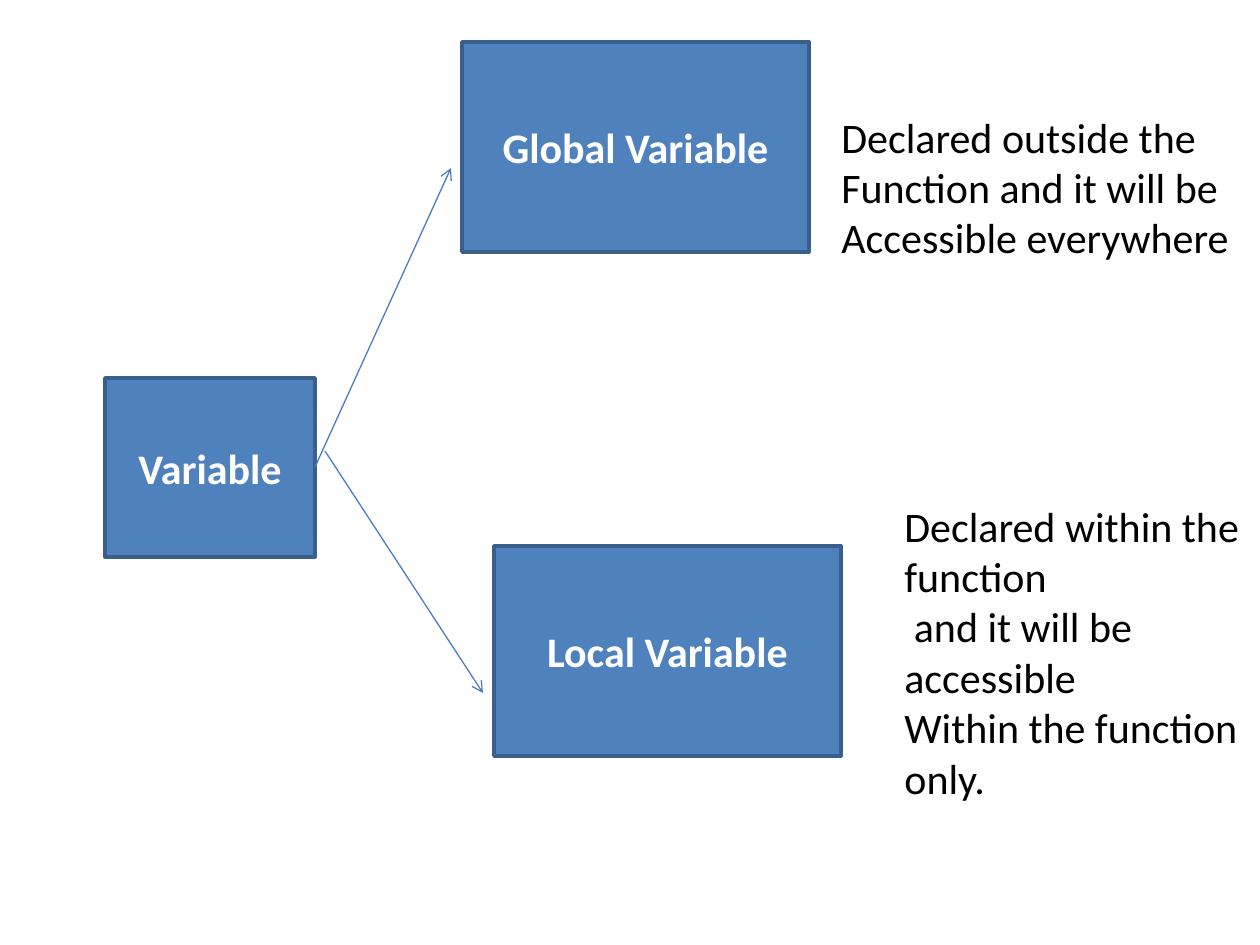
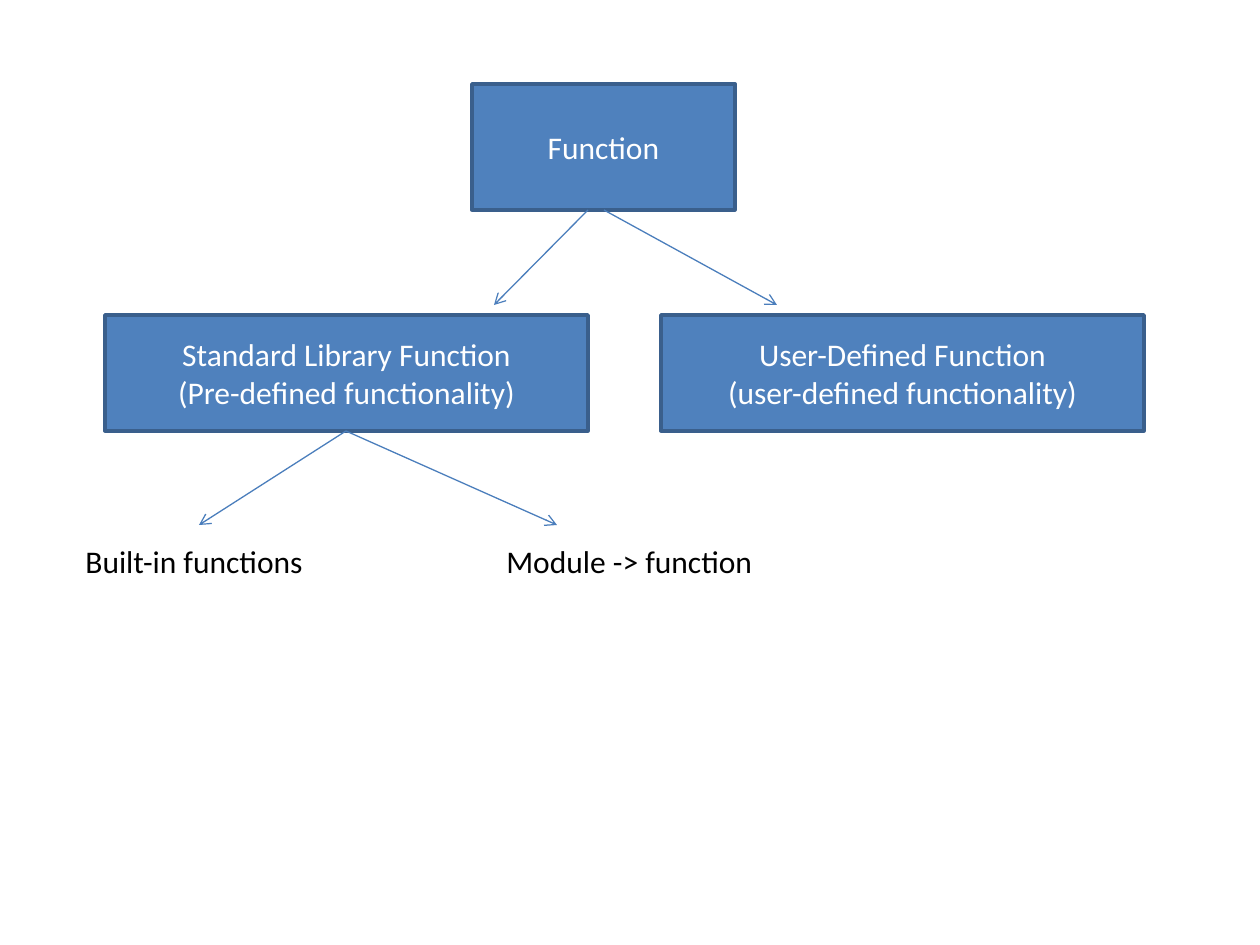
from functools import partial

from lxml.etree import SubElement
from pptx import Presentation
from pptx.dml.color import RGBColor
from pptx.enum.shapes import MSO_CONNECTOR, MSO_SHAPE
from pptx.enum.text import MSO_ANCHOR, MSO_AUTO_SIZE, PP_ALIGN
from pptx.oxml.ns import qn
from pptx.util import Emu, Pt

PIXELS_PER_INCH = 126
FONT = "Calibri"
BOX_FILL = "4F81BD"
BOX_BORDER = "3A5F8C"
ARROW_COLOR = "4B7EBC"
BOX_TEXT = "FFFFFF"
NOTE_TEXT = "000000"


def px(length):
    return Emu(round(length * 914400 / PIXELS_PER_INCH))


def color(hex_value):
    return RGBColor.from_string(hex_value)


def write_text(text_frame, text, size, hex_value, alignment, bold=False):
    text_frame.text = text
    for paragraph in text_frame.paragraphs:
        paragraph.alignment = alignment
        for run in paragraph.runs:
            run.font.name = FONT
            run.font.size = Pt(size)
            run.font.bold = bold
            run.font.color.rgb = color(hex_value)


def add_box(slide, origin, place, text, size, bold=False):
    left, top, width, height = place
    shape = slide.shapes.add_shape(
        MSO_SHAPE.RECTANGLE,
        px(origin[0] + left), px(origin[1] + top), px(width), px(height),
    )
    shape.shadow.inherit = False
    shape.fill.solid()
    shape.fill.fore_color.rgb = color(BOX_FILL)
    shape.line.color.rgb = color(BOX_BORDER)
    shape.line.width = Pt(2)
    shape.text_frame.word_wrap = True
    shape.text_frame.vertical_anchor = MSO_ANCHOR.MIDDLE
    write_text(shape.text_frame, text, size, BOX_TEXT, PP_ALIGN.CENTER, bold)


def add_note(slide, origin, place, text, size, wrap=False):
    left, top, width, height = place
    text_box = slide.shapes.add_textbox(
        px(origin[0] + left), px(origin[1] + top), px(width), px(height)
    )
    text_box.text_frame.word_wrap = wrap
    text_box.text_frame.auto_size = MSO_AUTO_SIZE.SHAPE_TO_FIT_TEXT
    write_text(text_box.text_frame, text, size, NOTE_TEXT, PP_ALIGN.LEFT)


def add_arrow(slide, origin, start, end):
    connector = slide.shapes.add_connector(
        MSO_CONNECTOR.STRAIGHT,
        px(origin[0] + start[0]), px(origin[1] + start[1]),
        px(origin[0] + end[0]), px(origin[1] + end[1]),
    )
    connector.line.color.rgb = color(ARROW_COLOR)
    connector.line.width = Pt(0.75)
    SubElement(connector.line._get_or_add_ln(), qn("a:tailEnd"), type="arrow")
    SubElement(connector._element.spPr, qn("a:effectLst"))


def variable_diagram(slide, left, top):
    origin = (left, top)
    box = partial(add_box, slide, origin, size=24, bold=True)
    note = partial(add_note, slide, origin, size=24)
    arrow = partial(add_arrow, slide, origin)
    scope_size = (347, 210)

    box((0, 336, 210, 179), "Variable")
    arrow((210, 425), (346, 126))
    box((357, 0, *scope_size), "Global Variable")
    box((389, 504, *scope_size), "Local Variable")
    arrow((220, 409), (378, 651))
    note(
        (724, 63, 417, 165),
        "Declared outside the\nFunction and it will be\nAccessible everywhere",
    )
    note(
        (787, 452, 368, 318),
        "Declared within the function\n and it will be accessible\n"
        "Within the function only.",
        wrap=True,
    )


def function_diagram(slide, left, top):
    origin = (left, top)
    box = partial(add_box, slide, origin, size=18)
    note = partial(add_note, slide, origin, size=18)
    arrow = partial(add_arrow, slide, origin)
    kind_top, kind_width, kind_height = 231, 483, 116
    library_left, user_left = 32, 588
    library_bottom = (273, kind_top + kind_height)

    box((399, 0, 263, 126), "Function")
    box(
        (library_left, kind_top, kind_width, kind_height),
        "Standard Library Function\n(Pre-defined functionality)",
    )
    box(
        (user_left, kind_top, kind_width, kind_height),
        "User-Defined Function\n(user-defined functionality)",
    )
    for target in (126, 484):
        arrow(library_bottom, (target, 441))
    note((0, 452, 247, 50), "Built-in functions")
    note((421, 452, 275, 50), "Module -> function")
    for source, target in ((515, 421), (531, 704)):
        arrow((source, 126), (target, 221))


def main():
    presentation = Presentation()
    presentation.slide_width = px(1260)
    presentation.slide_height = px(945)
    blank_layout = presentation.slide_layouts[6]
    variable_diagram(presentation.slides.add_slide(blank_layout), 105, 42)
    function_diagram(presentation.slides.add_slide(blank_layout), 73, 84)
    presentation.save("out.pptx")


if __name__ == "__main__":
    main()
